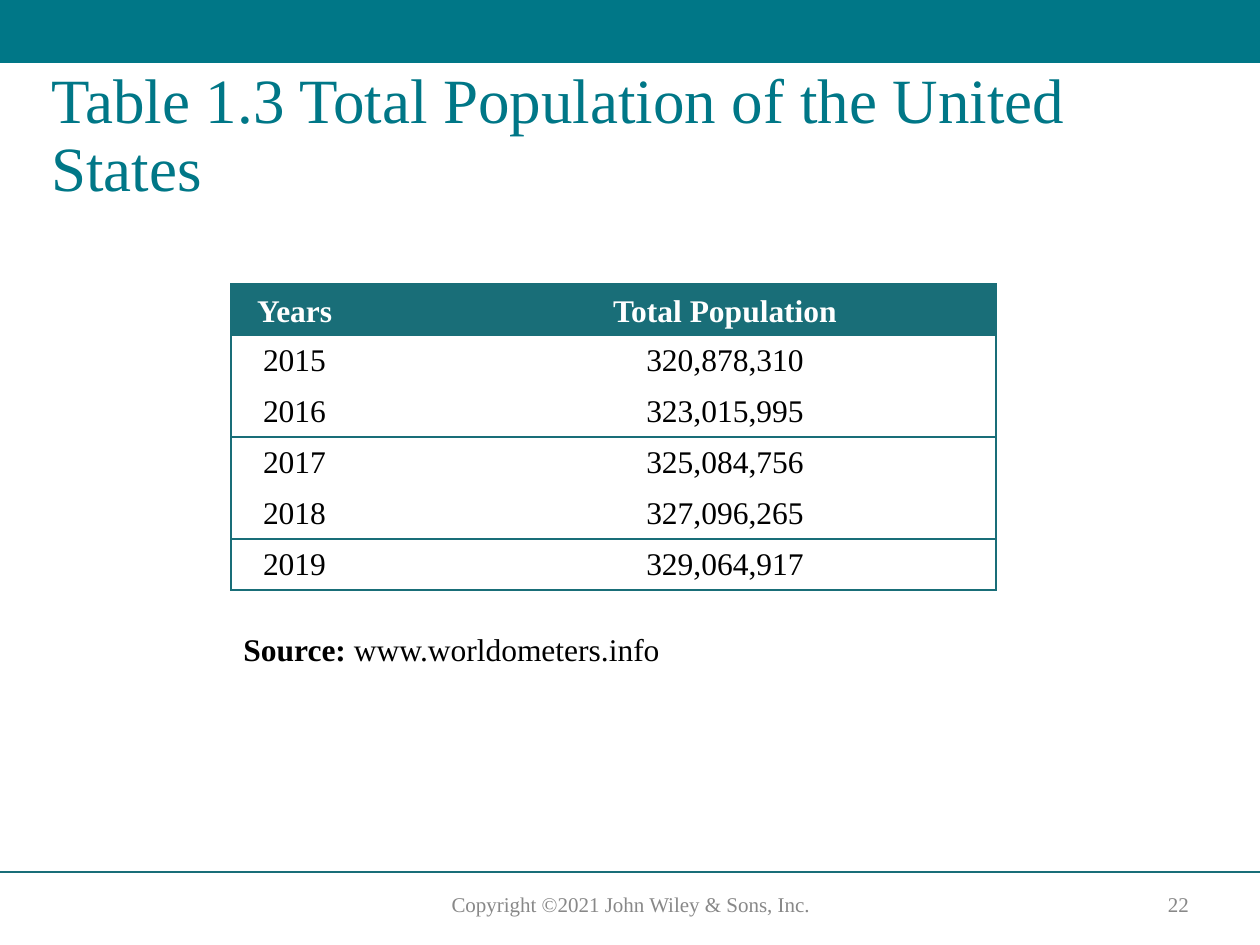
"""Builds the slide with the United States total population table."""
import dataclasses

import pptx
import pptx.dml.color
import pptx.enum.shapes
import pptx.enum.text
import pptx.oxml.ns
import pptx.util
from lxml import etree

ALIGN = pptx.enum.text.PP_ALIGN
ANCHOR = pptx.enum.text.MSO_ANCHOR


@dataclasses.dataclass(frozen=True)
class Theme:
    font: str = "Times New Roman"
    banner: str = "007787"
    grid: str = "196E78"
    body: str = "000000"
    header: str = "FFFFFF"
    muted: str = "888888"
    title_size: int = 36
    body_size: int = 18
    footer_size: int = 12


def px(length):
    return pptx.util.Emu(round(length * 914400 / 126))


def rgb(color):
    return pptx.dml.color.RGBColor.from_string(color)


class SlideBuilder:
    def __init__(self, slide, theme):
        self.slide = slide
        self.theme = theme

    def style(self, paragraph, size, color, bold=None):
        font = paragraph.font
        font.name = self.theme.font
        font.size = pptx.util.Pt(size)
        font.color.rgb = rgb(color)
        font.bold = bold

    def band(self, *box, color):
        band = self.slide.shapes.add_shape(
            pptx.enum.shapes.MSO_SHAPE.RECTANGLE, *map(px, box))
        band.shadow.inherit = False
        band.fill.solid()
        band.fill.fore_color.rgb = rgb(color)
        band.line.fill.background()

    def rule(self, *ends, color):
        rule = self.slide.shapes.add_connector(
            pptx.enum.shapes.MSO_CONNECTOR.STRAIGHT, *map(px, ends))
        rule.line.color.rgb = rgb(color)
        rule.line.width = pptx.util.Pt(1)
        etree.SubElement(rule.element.spPr, pptx.oxml.ns.qn("a:effectLst"))

    def text(self, *box, runs, size, color, align=ALIGN.LEFT,
             anchor=ANCHOR.TOP, spacing=None):
        frame = self.slide.shapes.add_textbox(*map(px, box)).text_frame
        frame.word_wrap = True
        frame.vertical_anchor = anchor
        paragraph = frame.paragraphs[0]
        paragraph.alignment = align
        paragraph.line_spacing = spacing
        self.style(paragraph, size, color)
        for words, bold in runs:
            run = paragraph.add_run()
            run.text = words
            run.font.bold = bold

    def border(self, cell, edges):
        qn = pptx.oxml.ns.qn
        properties = cell._tc.get_or_add_tcPr()
        for side in "LRTB":
            line = etree.SubElement(
                properties, qn(f"a:ln{side}"), w=str(pptx.util.Pt(0.75)))
            if side in edges:
                fill = etree.SubElement(line, qn("a:solidFill"))
                etree.SubElement(fill, qn("a:srgbClr"), val=self.theme.grid)
            else:
                etree.SubElement(line, qn("a:noFill"))

    def cell(self, cell, words, edges, header, centered):
        self.border(cell, edges)
        cell.margin_left = cell.margin_right = px(26)
        cell.margin_top = cell.margin_bottom = px(6)
        cell.vertical_anchor = ANCHOR.BOTTOM if header else ANCHOR.MIDDLE
        if header:
            cell.fill.solid()
            cell.fill.fore_color.rgb = rgb(self.theme.grid)
        else:
            cell.fill.background()
        cell.text = words
        paragraph = cell.text_frame.paragraphs[0]
        paragraph.alignment = ALIGN.CENTER if centered else ALIGN.LEFT
        if not (header or centered):
            paragraph._p.get_or_add_pPr().set("marL", str(px(6)))
        color = self.theme.header if header else self.theme.body
        self.style(paragraph, self.theme.body_size, color, header)

    def table(self, left, top, widths, row_height, rows, ruled_below):
        table = self.slide.shapes.add_table(
            len(rows), len(widths), px(left), px(top),
            px(sum(widths)), px(row_height * len(rows))).table
        table.horz_banding = False
        for column, width in zip(table.columns, widths):
            column.width = px(width)
        for r, row in enumerate(rows):
            table.rows[r].height = px(row_height)
            for c, words in enumerate(row):
                edges = "L" if c == 0 else "R"
                if r == 0 or r - 1 in ruled_below:
                    edges += "T"
                if r in ruled_below:
                    edges += "B"
                self.cell(table.cell(r, c), words, edges, r == 0, c > 0)


def main():
    theme = Theme()
    deck = pptx.Presentation()
    deck.slide_width, deck.slide_height = px(1260), px(945)
    builder = SlideBuilder(deck.slides.add_slide(deck.slide_layouts[6]), theme)

    builder.band(0, 0, 1260, 63, color=theme.banner)
    builder.rule(0, 872, 1260, 872, color=theme.grid)
    builder.text(405, 885, 452, 38,
                 runs=[("Copyright ©2021 John Wiley & Sons, Inc.", None)],
                 size=theme.footer_size, color=theme.muted, align=ALIGN.CENTER)
    builder.text(1140, 887, 77, 35, runs=[("22", None)],
                 size=theme.footer_size, color=theme.muted,
                 align=ALIGN.CENTER, anchor=ANCHOR.MIDDLE)
    builder.text(39, 63, 1176, 158,
                 runs=[("Table 1.3 Total Population of the United States", None)],
                 size=theme.title_size, color=theme.banner, spacing=0.9)

    population = [
        ("Years", "Total Population"),
        ("2015", "320,878,310"),
        ("2016", "323,015,995"),
        ("2017", "325,084,756"),
        ("2018", "327,096,265"),
        ("2019", "329,064,917"),
    ]
    builder.table(231, 284, widths=(223, 542), row_height=51,
                  rows=population, ruled_below={0, 2, 4, 5})
    builder.text(231, 624, 494, 59,
                 runs=[("Source:", True), (" www.worldometers.info", False)],
                 size=theme.body_size, color=theme.body)
    deck.save("out.pptx")


if __name__ == "__main__":
    main()
